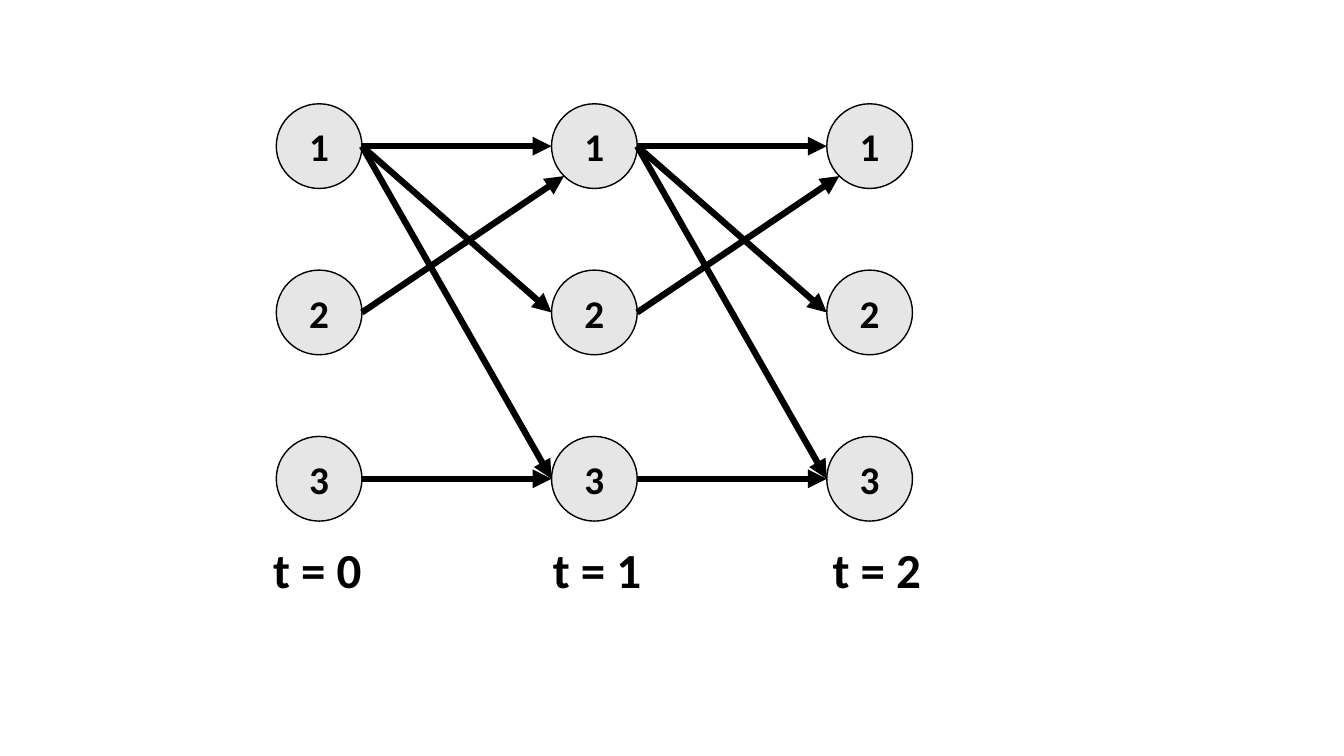
from math import cos, pi, sin

from lxml.etree import SubElement
from pptx import Presentation
from pptx.dml.color import RGBColor
from pptx.enum.shapes import MSO_CONNECTOR, MSO_SHAPE
from pptx.enum.text import MSO_ANCHOR, MSO_AUTO_SIZE, PP_ALIGN
from pptx.oxml.ns import qn
from pptx.util import Inches, Pt

BLACK = RGBColor(0x00, 0x00, 0x00)
GREY = RGBColor(0xE7, 0xE6, 0xE6)
FONT = "Calibri"

STATES = 3
STEPS = 3
NODE_W, NODE_H = 0.85, 0.84
COL_PITCH, ROW_PITCH = 2.73, 1.65
LABEL_PITCH = 2.775

# Connection sites of an ellipse, counted anticlockwise from the top
LEFT, BOTTOM_LEFT, RIGHT = 2, 3, 6

# Transitions between neighbouring steps: from state, to state, end site
TRANSITIONS = [
    (1, 1, LEFT),
    (1, 2, LEFT),
    (1, 3, LEFT),
    (2, 1, BOTTOM_LEFT),
    (3, 3, LEFT),
]


def write(tf, text, size, align):
    p = tf.paragraphs[0]
    p.text = text
    p.alignment = align
    p.font.name = FONT
    p.font.size = Pt(size)
    p.font.bold = True
    p.font.color.rgb = BLACK


def add_node(slide, x, y, state):
    sp = slide.shapes.add_shape(MSO_SHAPE.OVAL, Inches(x), Inches(y),
                                Inches(NODE_W), Inches(NODE_H))
    sp.shadow.inherit = False
    sp.fill.solid()
    sp.fill.fore_color.rgb = GREY
    sp.line.color.rgb = BLACK
    sp.line.width = Pt(1)
    sp.text_frame.vertical_anchor = MSO_ANCHOR.MIDDLE
    write(sp.text_frame, str(state), 28, PP_ALIGN.CENTER)
    return sp


def add_label(slide, x, y, text):
    box = slide.shapes.add_textbox(Inches(x), Inches(y), Inches(2.56), Inches(0.69))
    tf = box.text_frame
    tf.word_wrap = True
    tf.auto_size = MSO_AUTO_SIZE.SHAPE_TO_FIT_TEXT
    write(tf, text, 35, PP_ALIGN.LEFT)


def site_point(sp, site):
    angle = site * pi / 4
    return (round(sp.left + sp.width / 2 * (1 - sin(angle))),
            round(sp.top + sp.height / 2 * (1 - cos(angle))))


def add_arrow(slide, start, end, end_site):
    cx = slide.shapes.add_connector(MSO_CONNECTOR.STRAIGHT,
                                    *site_point(start, RIGHT),
                                    *site_point(end, end_site))
    cx.line.color.rgb = BLACK
    cx.line.width = Pt(4.5)
    SubElement(cx.line._get_or_add_ln(), qn("a:tailEnd"), type="triangle")
    SubElement(cx.element.spPr, qn("a:effectLst"))

    # Join both ends to the circles
    joins = cx.element.find(".//" + qn("p:cNvCxnSpPr"))
    for tag, sp, site in (("a:stCxn", start, RIGHT), ("a:endCxn", end, end_site)):
        SubElement(joins, qn(tag), id=str(sp.shape_id), idx=str(site))


def add_trellis(slide, left, top):
    # Circles, one column per time step
    nodes = {
        (t, state): add_node(slide, left + t * COL_PITCH,
                             top + (state - 1) * ROW_PITCH, state)
        for t in range(STEPS)
        for state in range(1, STATES + 1)
    }

    # Time labels
    for t in range(STEPS):
        add_label(slide, left - 0.13 + t * LABEL_PITCH, top + 4.27, f"t = {t}")

    # Transition arrows
    for t in range(STEPS - 1):
        for a, b, site in TRANSITIONS:
            add_arrow(slide, nodes[t, a], nodes[t + 1, b], site)


def main():
    prs = Presentation()
    prs.slide_width = Inches(13.33)
    prs.slide_height = Inches(7.5)
    slide = prs.slides.add_slide(prs.slide_layouts[6])
    add_trellis(slide, 2.74, 1.03)
    prs.save("out.pptx")


if __name__ == "__main__":
    main()
